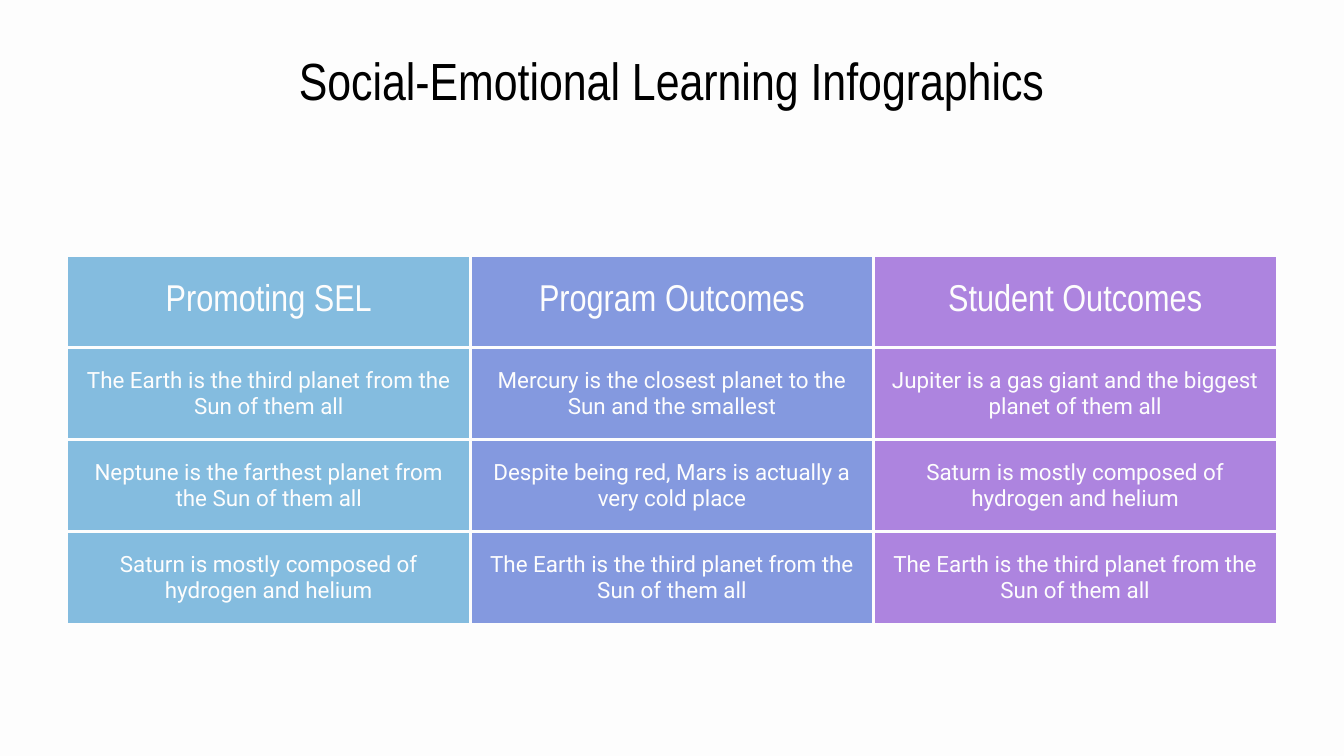
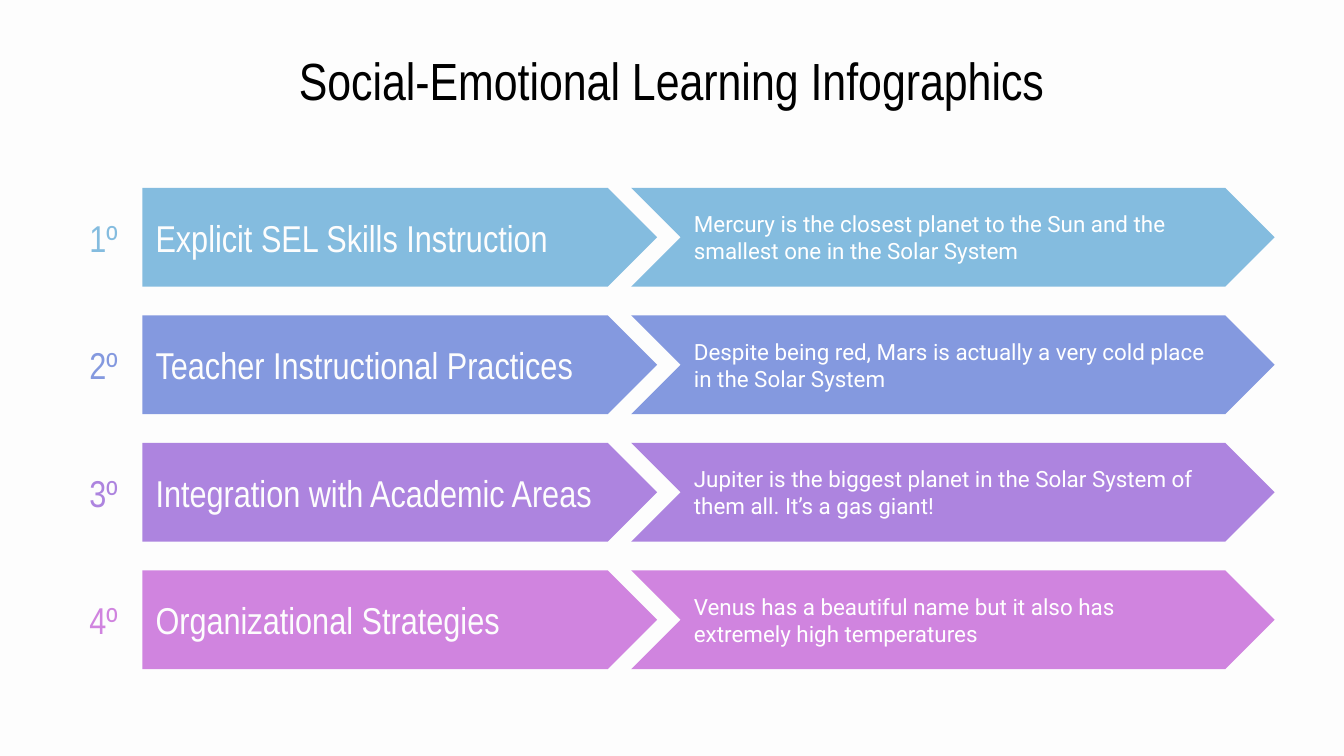
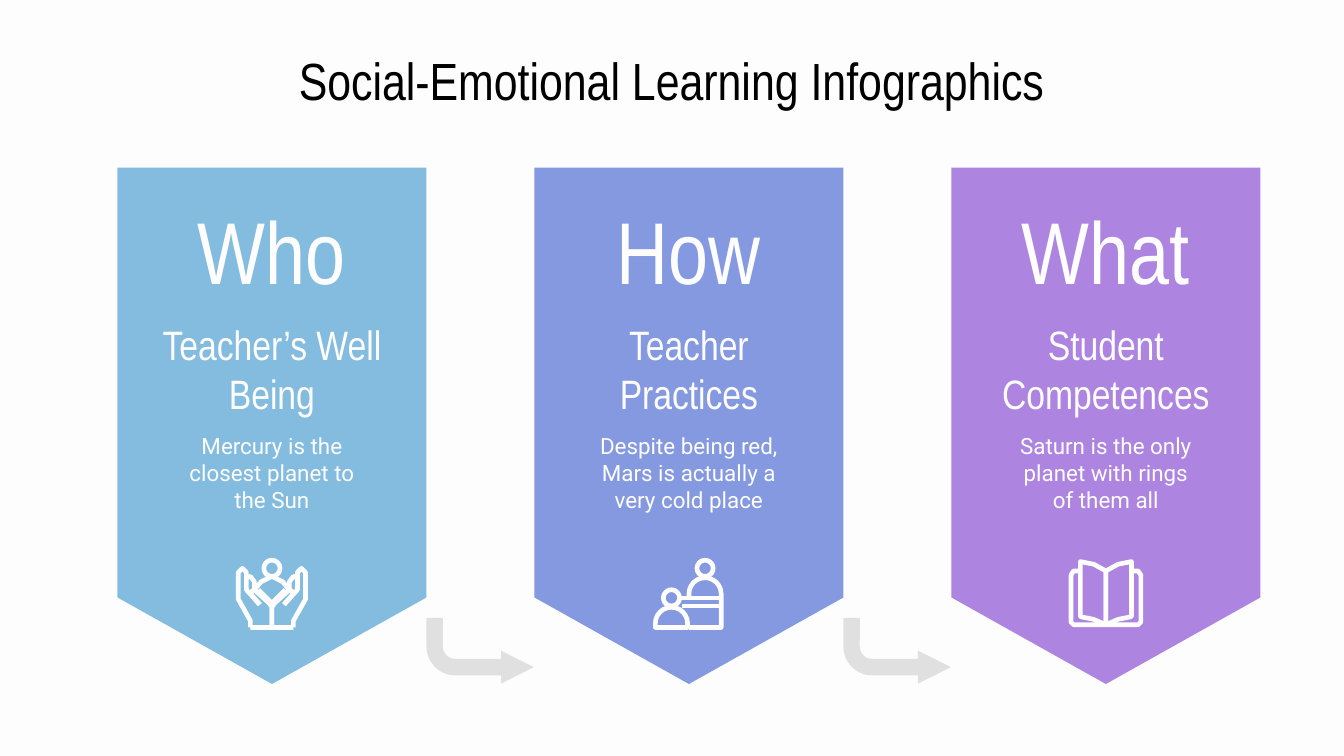
import math

from lxml import etree
from pptx import Presentation
from pptx import util as u
from pptx.dml.color import RGBColor
from pptx.enum import shapes, text
from pptx.oxml import ns

BLUE = RGBColor(0x84, 0xBC, 0xDF)
PERIWINKLE = RGBColor(0x84, 0x99, 0xDF)
PURPLE = RGBColor(0xAD, 0x84, 0xDF)
PINK = RGBColor(0xD0, 0x84, 0xDF)
PAPER = RGBColor(0xFD, 0xFD, 0xFD)
WHITE = RGBColor(0xFF, 0xFF, 0xFF)
BLACK = RGBColor(0, 0, 0)
GREY = RGBColor(0xE0, 0xE0, 0xE0)
HEADING_FONT = "Arial Narrow"
BODY_FONT = "Roboto"
TITLE = "Social-Emotional Learning Infographics"
CENTER = text.PP_ALIGN.CENTER
LEFT = text.PP_ALIGN.LEFT


def arc(x, y, radius, start=0, end=360):
    angles = [math.radians(degree) for degree in range(start, end + 1, 15)]
    return [(x + radius * math.cos(a), y + radius * math.sin(a)) for a in angles]


def with_mirror(strokes):
    return strokes + [[(-x, y) for x, y in stroke] for stroke in strokes]


HANDS = with_mirror([
    [(-16, 52), (-16, 47), (-25, 31), (-25, 11), (-22, 8), (-19, 11),
     (-19, 24), (-9, 35)],
    [(-9, 35), (-15, 28), (-15, 25), (-13, 24), (-2, 34), (0, 37), (0, 52), (-16, 52)],
    [(-19, 15), (-16, 14), (-13, 18), (-13, 24), (-8, 18), (0, 14)],
    [(-10, 24), (0, 34)],
]) + [arc(0, 8, 6)]

CLASSROOM = [
    arc(12, 8, 6),
    arc(-13, 30, 6),
    [(0, 30)] + arc(12, 27, 12, 180, 360) + [(24, 52), (0, 52)],
    [(-25, 52)] + arc(-13, 49, 12, 180, 360) + [(-1, 52), (-25, 52)],
    [(-6, 30), (24, 30)],
    [(-5, 36), (24, 36)],
]

BOOK = with_mirror([
    [(0, 50), (0, 10), (-9, 5), (-19, 3), (-19, 44), (-9, 46), (0, 50)],
    [(-19, 10), (-24, 10), (-26, 13), (-26, 48), (-24, 50), (0, 50)],
])


class Deck:
    def __init__(self):
        self.presentation = Presentation()
        self.presentation.slide_width = u.Cm(25.4)
        self.presentation.slide_height = u.Cm(14.29)
        background = self.presentation.slide_master.background.fill
        background.solid()
        background.fore_color.rgb = PAPER
        self.slide = None

    def new_slide(self):
        layout = self.presentation.slide_layouts[6]
        self.slide = self.presentation.slides.add_slide(layout)
        self.text_box(TITLE, 1.24, 1.14, 22.89, 0.74, 28, color=BLACK)

    def set_text(self, frame, words, size, font, color, align):
        frame.text = words
        for paragraph in frame.paragraphs:
            paragraph.alignment = align
            for run in paragraph.runs:
                run.font.size = u.Pt(size)
                run.font.name = font
                run.font.color.rgb = color

    def set_margins(self, target, side, end):
        target.margin_left = target.margin_right = u.Cm(side)
        target.margin_top = target.margin_bottom = u.Cm(end)
        target.vertical_anchor = text.MSO_ANCHOR.MIDDLE

    def text_box(self, words, left, top, width, height, size,
                 font=HEADING_FONT, color=PAPER):
        box = self.slide.shapes.add_textbox(
            u.Cm(left), u.Cm(top), u.Cm(width), u.Cm(height))
        frame = box.text_frame
        frame.word_wrap = True
        self.set_margins(frame, 0.25, 0.25)
        self.set_text(frame, words, size, font, color, CENTER)

    def shape(self, kind, left, top, width, height, fill, adjustments):
        shape = self.slide.shapes.add_shape(
            kind, u.Cm(left), u.Cm(top), u.Cm(width), u.Cm(height))
        shape.shadow.inherit = False
        shape.fill.solid()
        shape.fill.fore_color.rgb = fill
        shape.line.fill.background()
        for index, value in enumerate(adjustments):
            shape.adjustments[index] = value
        return shape

    def label_shape(self, shape, words, size, font, color):
        frame = shape.text_frame
        frame.word_wrap = True
        self.set_margins(frame, 0.25, 0.13)
        self.set_text(frame, words, size, font, color, LEFT)

    def turn_arrow(self, left, top):
        arrow = self.shape(shapes.MSO_SHAPE.BENT_ARROW, left, top, 2.03, 1.24,
                           GREY, (0.25, 0.25, 0.5, 0.44))
        arrow.rotation = 180
        arrow.element.spPr.xfrm.set("flipH", "1")

    def icon(self, strokes, center, top):
        contours = [[(u.Cm(x * 2.54 / 100), u.Cm(y * 2.54 / 100)) for x, y in stroke]
                    for stroke in strokes]
        builder = self.slide.shapes.build_freeform(*contours[0][0])
        for contour in contours:
            builder.move_to(*contour[0])
            builder.add_line_segments(contour[1:], close=False)
        shape = builder.convert_to_shape(u.Cm(center), u.Cm(top))
        shape.shadow.inherit = False
        shape.fill.background()
        shape.line.color.rgb = PAPER
        shape.line.width = u.Pt(2.5)

    def cell_borders(self, cell):
        properties = cell._tc.get_or_add_tcPr()
        for position, side in enumerate(("lnL", "lnR", "lnT", "lnB")):
            line = etree.Element(ns.qn(f"a:{side}"), w=str(u.Pt(1.5)))
            fill = etree.SubElement(line, ns.qn("a:solidFill"))
            etree.SubElement(fill, ns.qn("a:srgbClr"), val=str(PAPER))
            properties.insert(position, line)

    def table(self, rows, colors, left, top, column_width, row_height):
        table = self.slide.shapes.add_table(
            len(rows), len(colors), u.Cm(left), u.Cm(top),
            u.Cm(column_width * len(colors)), u.Cm(row_height * len(rows))).table
        table.first_row = table.horz_banding = False
        for row_index, row in enumerate(rows):
            table.rows[row_index].height = u.Cm(row_height)
            size, font = (12, BODY_FONT) if row_index else (20, HEADING_FONT)
            for column_index, words in enumerate(row):
                cell = table.cell(row_index, column_index)
                self.set_margins(cell, 0.25, 0.25)
                self.set_text(cell.text_frame, words, size, font, PAPER, CENTER)
                cell.fill.solid()
                cell.fill.fore_color.rgb = colors[column_index]
                self.cell_borders(cell)


def outcomes_slide(deck):
    deck.new_slide()
    rows = [
        ("Promoting SEL", "Program Outcomes", "Student Outcomes"),
        ("The Earth is the third planet from the Sun of them all",
         "Mercury is the closest planet to the Sun and the smallest",
         "Jupiter is a gas giant and the biggest planet of them all"),
        ("Neptune is the farthest planet from the Sun of them all",
         "Despite being red, Mars is actually a very cold place",
         "Saturn is mostly composed of hydrogen and helium"),
        ("Saturn is mostly composed of hydrogen and helium",
         "The Earth is the third planet from the Sun of them all",
         "The Earth is the third planet from the Sun of them all"),
    ]
    deck.table(rows, (BLUE, PERIWINKLE, PURPLE), 1.27, 4.83, 7.62, 1.74)


def steps_slide(deck):
    deck.new_slide()
    steps = [
        (BLUE, "Explicit SEL Skills Instruction",
         "Mercury is the closest planet to the Sun and the smallest one in the Solar System"),
        (PERIWINKLE, "Teacher Instructional Practices",
         "Despite being red, Mars is actually a very cold place in the Solar System"),
        (PURPLE, "Integration with Academic Areas",
         "Jupiter is the biggest planet in the Solar System of them all. It’s a gas giant!"),
        (PINK, "Organizational Strategies",
         "Venus has a beautiful name but it also has extremely high temperatures"),
    ]
    height = 1.87
    for index, (color, heading, description) in enumerate(steps):
        top = 3.55 + index * 2.41
        pentagon = deck.shape(shapes.MSO_SHAPE.PENTAGON, 2.69, top, 9.73, height,
                              color, (0.5,))
        deck.label_shape(pentagon, heading, 20, HEADING_FONT, PAPER)
        chevron = deck.shape(shapes.MSO_SHAPE.CHEVRON, 11.93, top, 12.16, height,
                             color, (0.5,))
        deck.label_shape(chevron, description, 12, BODY_FONT, WHITE)
        deck.text_box(f"{index + 1}º", 1.32, top, 1.27, height, 20, color=color)


def questions_slide(deck):
    deck.new_slide()
    banners = [
        (BLUE, "Who", "Teacher’s Well Being",
         "Mercury is the closest planet to the Sun", HANDS),
        (PERIWINKLE, "How", "Teacher Practices",
         "Despite being red,\vMars is actually a very cold place", CLASSROOM),
        (PURPLE, "What", "Student Competences",
         "Saturn is the only planet with rings of them all", BOOK),
    ]
    length, breadth = 9.76, 5.84
    for index, (color, question, heading, description, icon) in enumerate(banners):
        center = 5.14 + index * 7.88
        banner = deck.shape(shapes.MSO_SHAPE.PENTAGON, center - length / 2, 5.13,
                            length, breadth, color, (0.28,))
        banner.rotation = 90
        deck.text_box(heading, center - 2.64, 6.4, 5.28, 1.14, 22)
        deck.text_box(description, center - 1.98, 8.2, 3.96, 1.47, 12, BODY_FONT)
        deck.text_box(question, center - 2.64, 4.14, 5.28, 1.14, 47)
        deck.icon(icon, center, 10.54)
        if index < len(banners) - 1:
            deck.turn_arrow(center + breadth / 2, 11.68)


def main():
    deck = Deck()
    outcomes_slide(deck)
    steps_slide(deck)
    questions_slide(deck)
    deck.presentation.save("out.pptx")


if __name__ == "__main__":
    main()
